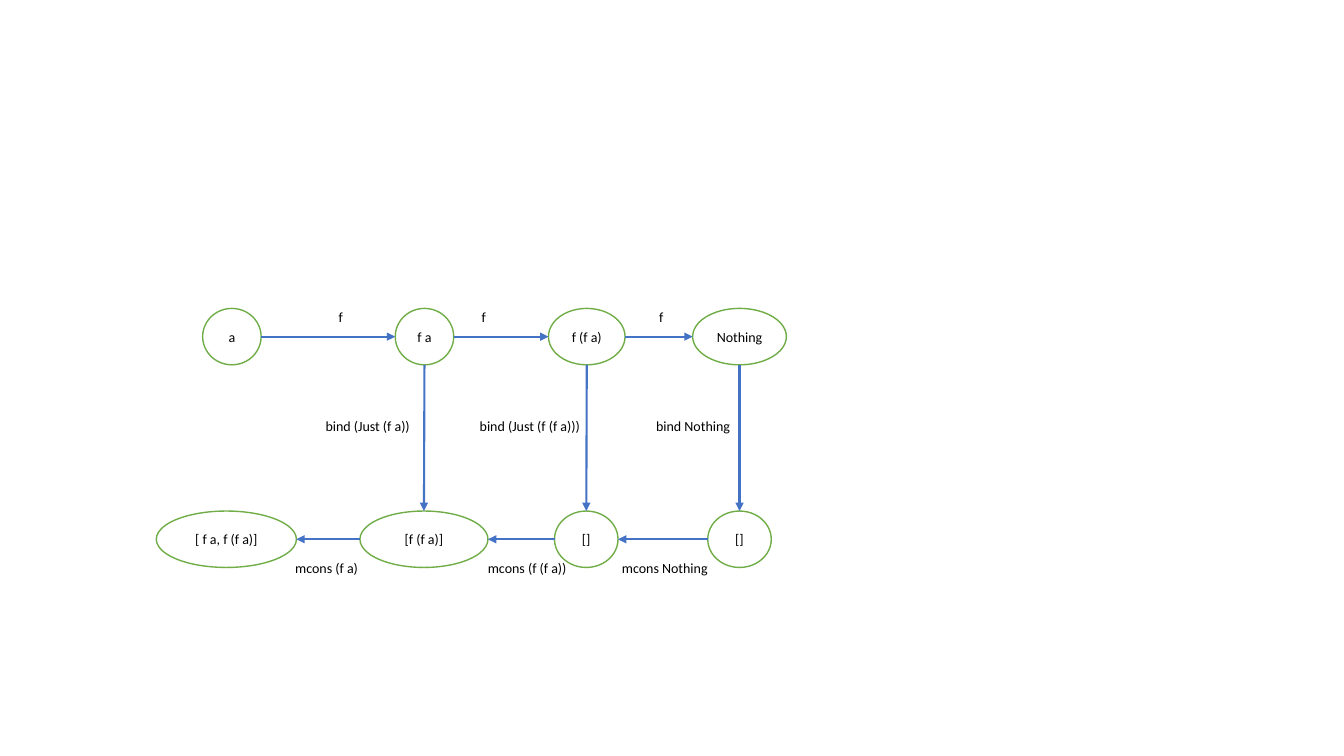
"""Draw the unfolding of f over Maybe, with binds down and mcons steps back."""
import itertools
from dataclasses import dataclass
from typing import Any

import lxml.etree
import pptx
import pptx.dml.color
import pptx.enum.shapes
import pptx.enum.text
import pptx.oxml.ns
import pptx.util

Inches = pptx.util.Inches
NODE_HEIGHT = 0.56
VALUE_TOP, LIST_TOP = 3.06, 5.07
F_TOP, BIND_TOP, MCONS_TOP = 3.01, 4.09, 5.5
LABEL_HEIGHT = 0.27
OUTLINE, ARROW, INK, PAPER = "70AD47", "4472C4", "000000", "FFFFFF"
CENTRED: dict[str, Any] = {"vertical_anchor": pptx.enum.text.MSO_ANCHOR.MIDDLE, "word_wrap": True}
NARROW_MARGINS: dict[str, Any] = {"margin_left": Inches(0.04), "margin_right": Inches(0.04)}
FREE: dict[str, Any] = {"word_wrap": False, "auto_size": pptx.enum.text.MSO_AUTO_SIZE.SHAPE_TO_FIT_TEXT}
TYPE: dict[str, Any] = {"name": "Calibri", "size": pptx.util.Pt(10)}


@dataclass(frozen=True)
class Node:
    text: str
    left: float
    width: float
    top: float

    @property
    def right(self) -> float:
        return self.left + self.width

    @property
    def centre(self) -> float:
        return self.left + self.width / 2

    @property
    def middle(self) -> float:
        return self.top + NODE_HEIGHT / 2


@dataclass(frozen=True)
class Label:
    text: str
    left: float
    width: float
    top: float


VALUES = [
    Node("a", 2.01, 0.58, VALUE_TOP),
    Node("f a", 3.92, 0.58, VALUE_TOP),
    Node("f (f a)", 5.44, 0.76, VALUE_TOP),
    Node("Nothing", 6.87, 0.93, VALUE_TOP),
]
LISTS = [
    Node("[ f a, f (f a)]", 1.55, 1.39, LIST_TOP),
    Node("[f (f a)]", 3.57, 1.27, LIST_TOP),
    Node("[]", 5.5, 0.63, LIST_TOP),
    Node("[]", 7.02, 0.63, LIST_TOP),
]
LABELS = [
    *(Label("f", left, 0.24, F_TOP) for left in (3.26, 4.68, 6.44)),
    Label("bind (Just (f a))", 3.13, 1.05, BIND_TOP),
    Label("bind (Just (f (f a)))", 4.66, 1.2, BIND_TOP),
    Label("bind Nothing", 6.41, 0.94, BIND_TOP),
    Label("mcons (f a)", 2.83, 0.83, MCONS_TOP),
    Label("mcons (f (f a))", 4.74, 0.99, MCONS_TOP),
    Label("mcons Nothing", 6.07, 1.06, MCONS_TOP),
]


def colour(value: str) -> pptx.dml.color.RGBColor:
    """Turn a hex string into a colour."""
    return pptx.dml.color.RGBColor.from_string(value)


def apply(target: Any, values: dict[str, Any]) -> None:
    """Set each format value on the target."""
    for key, value in values.items():
        setattr(target, key, value)


def write(frame: Any, text: str, layout: dict[str, Any]) -> Any:
    """Fill a text frame and return its paragraph."""
    apply(frame, layout)
    paragraph = frame.paragraphs[0]
    run = paragraph.add_run()
    run.text = text
    apply(run.font, TYPE)
    run.font.color.rgb = colour(INK)
    return paragraph


def draw_node(slide: Any, node: Node, layout: dict[str, Any]) -> None:
    """Draw one outlined ellipse with its expression."""
    ellipse = slide.shapes.add_shape(
        pptx.enum.shapes.MSO_SHAPE.OVAL,
        *map(Inches, (node.left, node.top, node.width, NODE_HEIGHT)),
    )
    ellipse.shadow.inherit = False
    ellipse.fill.solid()
    ellipse.fill.fore_color.rgb = colour(PAPER)
    ellipse.line.color.rgb = colour(OUTLINE)
    ellipse.line.width = pptx.util.Pt(1)
    expression = write(ellipse.text_frame, node.text, layout)
    expression.alignment = pptx.enum.text.PP_ALIGN.CENTER


def draw_arrow(slide: Any, start: tuple[float, float], end: tuple[float, float]) -> None:
    """Draw a straight arrow that points at its end."""
    arrow = slide.shapes.add_connector(
        pptx.enum.shapes.MSO_CONNECTOR.STRAIGHT, *map(Inches, (*start, *end))
    )
    arrow.line.color.rgb = colour(ARROW)
    arrow.line.width = pptx.util.Pt(1.5)
    properties = arrow.element.spPr
    qn = pptx.oxml.ns.qn
    lxml.etree.SubElement(properties.find(qn("a:ln")), qn("a:tailEnd"), type="triangle")
    lxml.etree.SubElement(properties, qn("a:effectLst"))


def draw_label(slide: Any, label: Label) -> None:
    """Write the function beside its arrow."""
    caption = slide.shapes.add_textbox(
        *map(Inches, (label.left, label.top, label.width, LABEL_HEIGHT))
    )
    write(caption.text_frame, label.text, FREE)


def main() -> None:
    """Build and save the slide."""
    deck = pptx.Presentation()
    deck.slide_width, deck.slide_height = Inches(13.33), Inches(7.5)
    slide = deck.slides.add_slide(deck.slide_layouts[6])
    for node in VALUES:
        draw_node(slide, node, CENTRED | NARROW_MARGINS)
    for node in LISTS:
        draw_node(slide, node, CENTRED)
    for source, result in itertools.pairwise(VALUES):
        draw_arrow(slide, (source.right, source.middle), (result.left, result.middle))
    for result, source in itertools.pairwise(LISTS):
        draw_arrow(slide, (source.left, source.middle), (result.right, result.middle))
    for value, rest in zip(VALUES[1:], LISTS[1:]):
        draw_arrow(slide, (value.centre, value.top + NODE_HEIGHT), (rest.centre, rest.top))
    for label in LABELS:
        draw_label(slide, label)
    deck.save("out.pptx")


if __name__ == "__main__":
    main()
